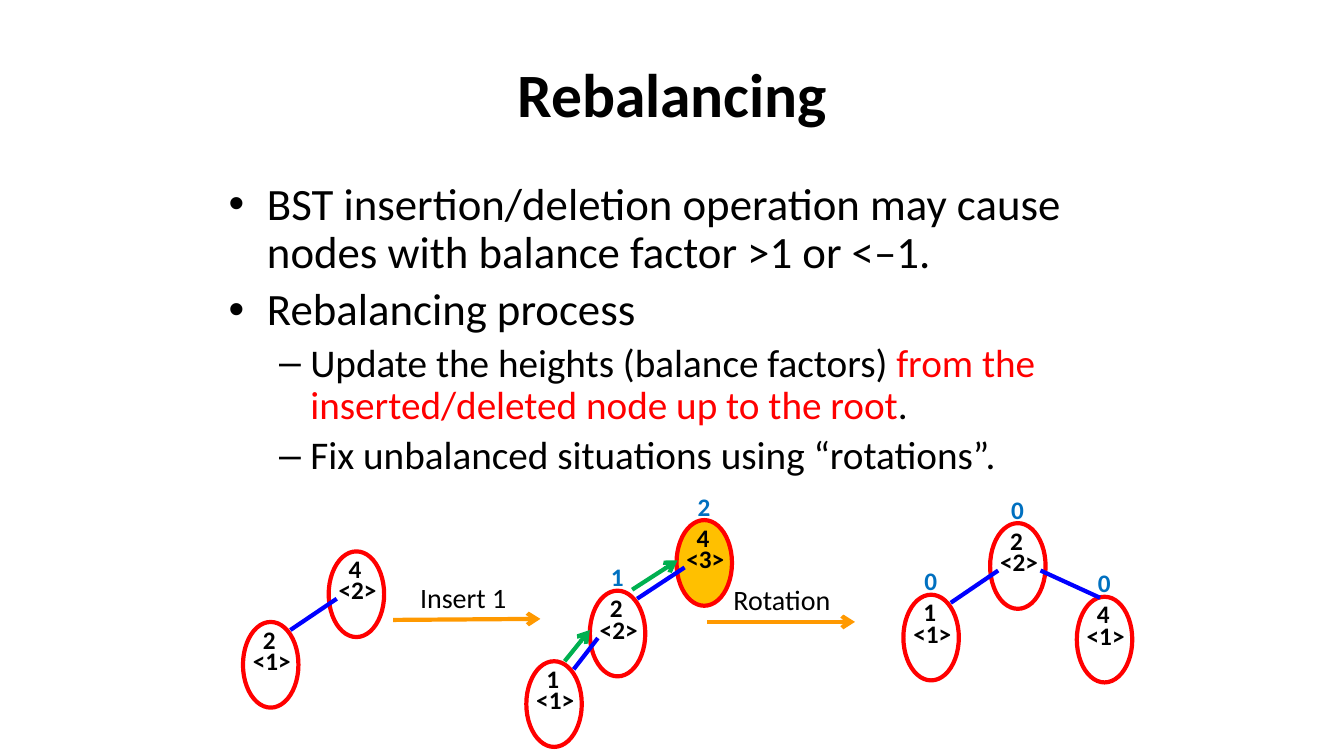
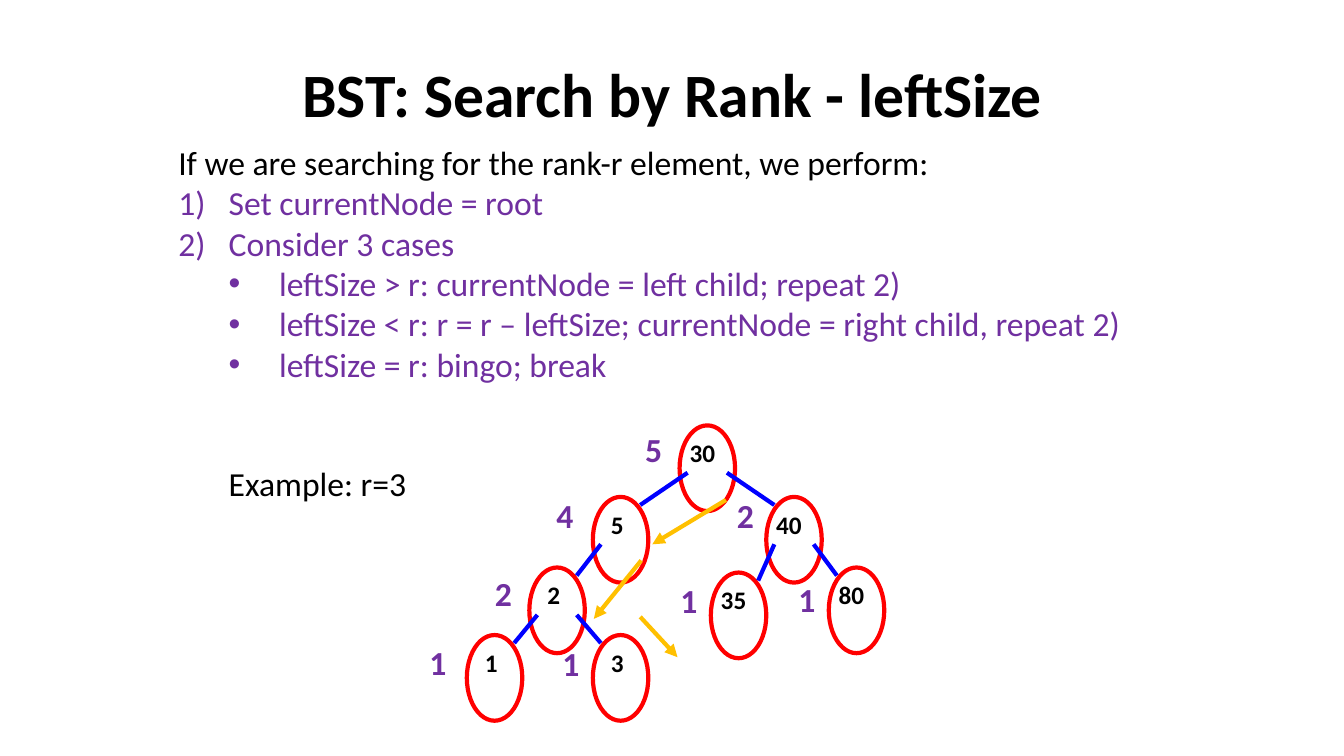
"""Build two slides on balanced search trees."""
from lxml import etree
from pptx import Presentation
from pptx.dml.color import RGBColor
from pptx.enum.shapes import MSO_CONNECTOR, MSO_SHAPE
from pptx.enum.text import MSO_ANCHOR, MSO_AUTO_SIZE, PP_ALIGN
from pptx.oxml.ns import qn
from pptx.util import Inches, Pt

OVAL = MSO_SHAPE.OVAL
LINE = MSO_CONNECTOR.STRAIGHT
MID, TOP = MSO_ANCHOR.MIDDLE, MSO_ANCHOR.TOP
GROW, FIXED = MSO_AUTO_SIZE.SHAPE_TO_FIT_TEXT, MSO_AUTO_SIZE.NONE
LEFT, MIDDLE = PP_ALIGN.LEFT, PP_ALIGN.CENTER

HEX = {
    "black": "000000", "red": "FF0000", "gold": "FFC000", "blue": "0000FF",
    "sky": "0070C0", "green": "00B050", "orange": "FF9900", "purple": "7030A0",
}
FRAME = {
    "margin_left": Inches(0.1), "margin_right": Inches(0.1),
    "margin_top": Inches(0.05), "margin_bottom": Inches(0.05),
    "word_wrap": True, "vertical_anchor": TOP, "auto_size": GROW,
}
LABEL = {"margin_top": Inches(0.15), "margin_bottom": Inches(0.15)}
NODE_W, NODE_H = 0.55, 0.85
NEAR, FAR, DROP = 0.08, 0.47, 0.47


def apply(item, values):
    for name, value in values.items():
        setattr(item, name, value)


def color(name):
    return RGBColor.from_string(HEX[name])


class Deck:
    def __init__(self):
        self.show = Presentation()
        apply(self.show, {"slide_width": Inches(13.33), "slide_height": Inches(7.5)})
        self.page = None

    def start(self, title):
        self.page = self.show.slides.add_slide(self.show.slide_layouts[6])
        self.text((0.67, 0.3, 12, 1.25), title, 44, bold=True, align=MIDDLE,
                  frame={"vertical_anchor": MID, "auto_size": FIXED})

    def area(self, box, frame=None):
        shape = self.page.shapes.add_textbox(*map(Inches, box))
        apply(shape.text_frame, {**FRAME, **(frame or {})})
        return shape.text_frame

    def fill(self, para, runs, size, bold=False):
        for words, tint in runs:
            run = para.add_run()
            run.text = words
            apply(run.font, {"name": "Calibri", "size": Pt(size), "bold": bold})
            run.font.color.rgb = color(tint)

    def text(self, box, words, size, tint="black", bold=False, align=LEFT, frame=None):
        para = self.area(box, frame).paragraphs[0]
        para.alignment = align
        self.fill(para, [(words, tint)], size, bold)

    def label(self, x, y, words, tint="black", width=0.62):
        self.text((x, y, width, 0.61), words, 18, tint, True, frame=LABEL)

    def bullet(self, para, mark, left, hang, tint):
        props = para._p.get_or_add_pPr()
        props.set("marL", str(Inches(left)))
        props.set("indent", str(-Inches(hang)))
        paint = etree.SubElement(props, qn("a:buClr"))
        etree.SubElement(paint, qn("a:srgbClr"), val=HEX[tint])
        if mark == "1)":
            etree.SubElement(props, qn("a:buFont"), typeface="Calibri")
            etree.SubElement(props, qn("a:buAutoNum"), type="arabicParenR")
        else:
            etree.SubElement(props, qn("a:buFont"), typeface="Arial")
            etree.SubElement(props, qn("a:buChar"), char=mark)

    def items(self, box, rows, styles, frame=None):
        body = self.area(box, frame)
        for row, (kind, runs) in enumerate(rows):
            para = body.add_paragraph() if row else body.paragraphs[0]
            style = styles[kind]
            apply(para, style["para"])
            self.fill(para, runs, style["size"])
            if "mark" in style:
                self.bullet(para, *style["mark"], runs[0][1])

    def node(self, x, y, fill=None):
        oval = self.page.shapes.add_shape(
            OVAL, *map(Inches, (x, y, NODE_W, NODE_H)))
        oval.shadow.inherit = False
        if fill:
            oval.fill.solid()
            oval.fill.fore_color.rgb = color(fill)
        else:
            oval.fill.background()
        oval.line.color.rgb = color("red")
        oval.line.width = Pt(3)

    def line(self, ends, tint, tip=None):
        link = self.page.shapes.add_connector(LINE, *map(Inches, ends))
        link.line.color.rgb = color(tint)
        link.line.width = Pt(3)
        props = link._element.spPr
        if tip:
            etree.SubElement(props.find(qn("a:ln")), qn("a:tailEnd"), type=tip)
        etree.SubElement(props, qn("a:effectLst"))

    def edge(self, top, low):
        (px, py), (cx, cy) = top, low
        near, far = (NEAR, FAR) if cx < px else (FAR, NEAR)
        self.line((cx + far, cy + NEAR, px + near, py + DROP), "blue")


def balance(deck):
    deck.start("Rebalancing")
    para = {"line_spacing": 0.9}
    styles = {
        "main": {"para": {**para, "space_before": Pt(6.4)}, "size": 32,
                 "mark": ("•", 0.38, 0.38)},
        "sub": {"para": {**para, "space_before": Pt(5.6), "level": 1}, "size": 28,
                "mark": ("–", 0.81, 0.31)},
    }
    deck.items((2.17, 1.75, 9, 3.16), [
        ("main", [("BST insertion/deletion operation may cause nodes with "
                   "balance factor >1 or <–1.", "black")]),
        ("main", [("Rebalancing process", "black")]),
        ("sub", [("Update the heights (balance factors) ", "black"),
                 ("from the inserted/deleted node up to the root", "red"),
                 (".", "black")]),
        ("sub", [("Fix unbalanced situations using “rotations”.", "black")]),
    ], styles, {"auto_size": FIXED})

    nodes = [
        (3.26, 5.47, "4", "<2>", None, None),
        (2.41, 6.17, "2", "<1>", None, None),
        (6.71, 5.16, "4", "<3>", "2", "gold"),
        (5.85, 5.86, "2", "<2>", "1", None),
        (5.22, 6.56, "1", "<1>", None, None),
        (9.82, 5.19, "2", "<2>", "0", None),
        (8.96, 5.9, "1", "<1>", "0", None),
        (10.68, 5.92, "4", "<1>", "0", None),
    ]
    for x, y, key, height, factor, fill in nodes:
        deck.node(x, y, fill)
        deck.label(x + 0.1, y - 0.13, key)
        deck.label(x, y + 0.08, height, width=0.74)
        if factor:
            deck.label(x + 0.11, y - 0.44, factor, "sky")
    for top, low in [(0, 1), (2, 3), (3, 4), (5, 6)]:
        deck.edge(nodes[top][:2], nodes[low][:2])
    deck.line((10.91, 5.93, 10.32, 5.66), "blue")

    steps = [
        ("Insert 1", 3.11, 5.61, (3.9, 6.15, 5.36, 6.14)),
        ("Rotation", 6.27, 5.63, (7.01, 6.17, 8.48, 6.17)),
    ]
    for words, x, y, ends in steps:
        deck.text((x, y, 2.97, 0.64), words, 20, align=MIDDLE, frame=LABEL)
        deck.line(ends, "orange", "arrow")
    for ends in [(5.6, 6.56, 5.85, 6.25), (6.27, 5.85, 6.72, 5.56)]:
        deck.line(ends, "green", "arrow")


def search(deck):
    deck.start("BST: Search by Rank - leftSize")
    styles = {
        "lead": {"para": {}, "size": 24},
        "step": {"para": {}, "size": 24, "mark": ("1)", 0.5, 0.5)},
        "case": {"para": {"level": 1}, "size": 24, "mark": ("•", 1, 0.5)},
    }
    rows = [
        ("lead", "If we are searching for the rank-r element, we perform:", "black"),
        ("step", "Set currentNode = root", "purple"),
        ("step", "Consider 3 cases", "purple"),
        ("case", "leftSize > r: currentNode = left child; repeat 2)", "purple"),
        ("case", "leftSize < r: r = r – leftSize; currentNode = right child, repeat 2)",
         "purple"),
        ("case", "leftSize = r: bingo; break", "purple"),
    ]
    deck.items((1.67, 1.36, 10, 2.52),
               [(kind, [(words, tint)]) for kind, words, tint in rows], styles)
    deck.text((2.17, 4.54, 1.99, 0.5), "Example: r=3", 24)

    nodes = {
        "30": (6.74, 4.22, "5", 6.3, 4.21),
        "5": (5.88, 4.93, "4", 5.42, 4.86),
        "40": (7.6, 4.93, "2", 7.21, 4.86),
        "2": (5.25, 5.63, "2", 4.81, 5.63),
        "35": (7.05, 5.68, "1", 6.65, 5.7),
        "80": (8.22, 5.63, "1", 7.82, 5.69),
        "1": (4.63, 6.3, "1", 4.16, 6.32),
        "3": (5.88, 6.3, "1", 5.48, 6.33),
    }
    for key, (x, y, count, left, top) in nodes.items():
        deck.node(x, y)
        deck.label(x + (0.08 if len(key) == 1 else 0), y - 0.03, key)
        deck.text((left, top, 0.4, 0.5), count, 24, "purple", True)
    tree = {"30": ("5", "40"), "5": ("2",), "40": ("35", "80"), "2": ("1", "3")}
    for top, lows in tree.items():
        for low in lows:
            deck.edge(nodes[top][:2], nodes[low][:2])
    trail = [(7.2, 4.96, 6.47, 5.4), (6.36, 5.56, 5.89, 6.14), (6.35, 6.12, 6.72, 6.52)]
    for ends in trail:
        deck.line(ends, "gold", "triangle")


def main():
    deck = Deck()
    balance(deck)
    search(deck)
    deck.show.save("out.pptx")


if __name__ == "__main__":
    main()
